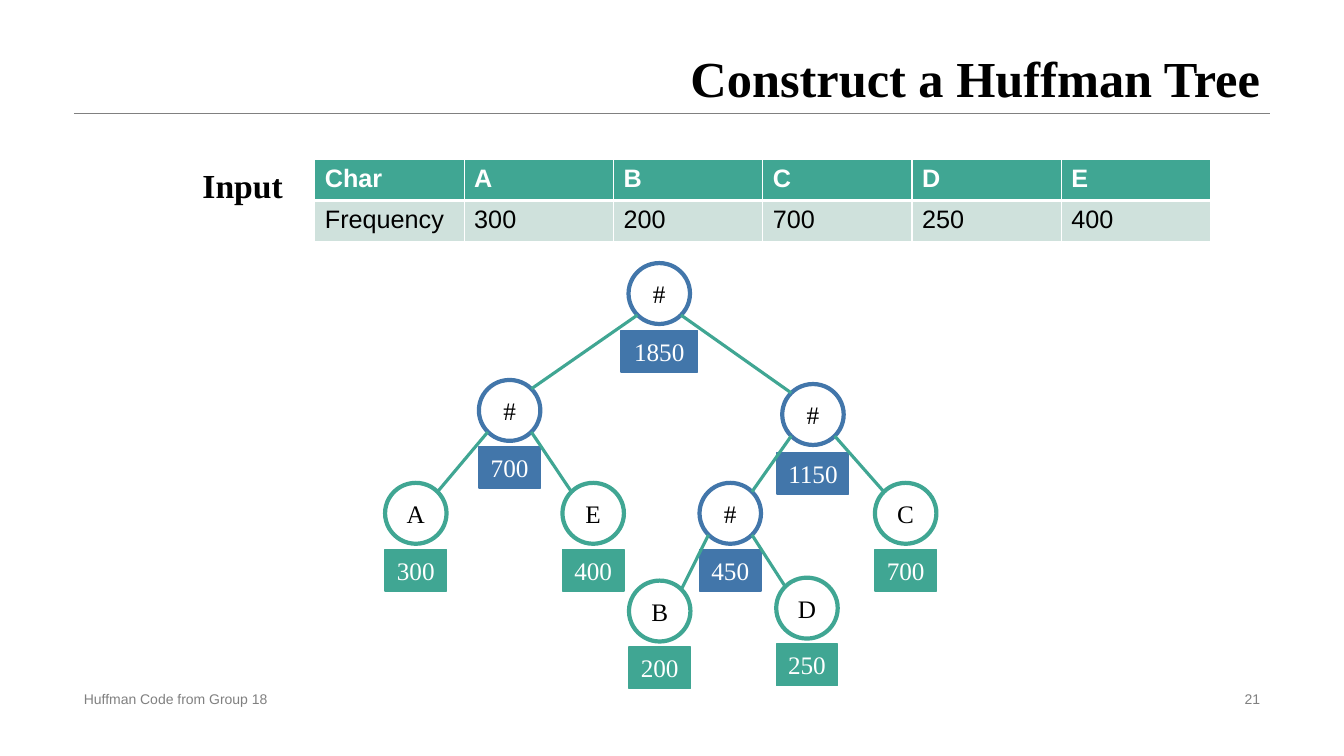
import math
from dataclasses import dataclass

from lxml import etree
from pptx import Presentation
from pptx import util as u
from pptx.dml.color import RGBColor
from pptx.enum import shapes, text
from pptx.oxml.ns import qn


@dataclass(frozen=True)
class Theme:
    serif: str = "Times New Roman"
    sans: str = "Arial"
    white: str = "FFFFFF"
    black: str = "000000"
    gray: str = "808080"
    green: str = "40A693"
    blue: str = "4276AA"
    pale: str = "CFE1DC"
    title: int = 36
    heading: int = 24
    body: int = 18
    footer: int = 10


@dataclass
class Node:
    char: str
    freq: int
    cx: float
    top: float
    children: tuple = ()
    label_w: float = 43.9
    label_drop: float = 47.5


CIRCLE_W, CIRCLE_H, LABEL_H = 43.9, 43.5, 29.7

B = Node("B", 200, 471.2, 414.7)
D = Node("D", 250, 576.4, 412.6)
BD = Node("#", 450, 521.6, 344.9, (B, D))
C = Node("C", 700, 646.9, 344.9)
BDC = Node("#", 1150, 580.7, 274.3, (BD, C), 51.1, 49)
A = Node("A", 300, 297, 344.9)
E = Node("E", 400, 423.7, 344.9)
AE = Node("#", 700, 364, 271.4, (A, E))
ROOT = Node("#", 1850, 470.9, 187.9, (AE, BDC), 54.7, 48.2)


def rgb(value):
    return RGBColor.from_string(value)


def set_all(obj, values):
    for name, value in values.items():
        setattr(obj, name, value)


class Deck:
    def __init__(self, prs, theme):
        self.t = theme
        self.s = prs.slides.add_slide(prs.slide_layouts[6])

    def fill_text(self, tf, words, font, size, color, bold=False, frame=None, para=None):
        set_all(tf, frame or {})
        p = tf.paragraphs[0]
        set_all(p, para or {})
        r = p.add_run()
        r.text = words
        set_all(r.font, {"name": font, "size": u.Pt(size), "bold": bold})
        r.font.color.rgb = rgb(color)

    def text(self, box, words, font, size, color, bold=False,
             anchor=text.MSO_ANCHOR.TOP, **para):
        sp = self.s.shapes.add_textbox(*map(u.Pt, box))
        frame = {"word_wrap": True, "vertical_anchor": anchor}
        self.fill_text(sp.text_frame, words, font, size, color, bold, frame, para)

    def line(self, start, end, color, width):
        cn = self.s.shapes.add_connector(
            shapes.MSO_CONNECTOR.STRAIGHT, *map(u.Pt, (*start, *end)))
        cn.line.color.rgb = rgb(color)
        cn.line.width = u.Pt(width)
        etree.SubElement(cn._element.spPr, qn("a:effectLst"))

    def shape(self, kind, box, words, fill, outline, width, color):
        sp = self.s.shapes.add_shape(kind, *map(u.Pt, box))
        sp.shadow.inherit = False
        sp.fill.solid()
        sp.fill.fore_color.rgb = rgb(fill)
        sp.line.color.rgb = rgb(outline)
        sp.line.width = u.Pt(width)
        self.fill_text(sp.text_frame, words, self.t.serif, self.t.body, color,
                       frame={"word_wrap": False,
                              "vertical_anchor": text.MSO_ANCHOR.MIDDLE},
                       para={"alignment": text.PP_ALIGN.CENTER})

    def borders(self, cell, bottom):
        tcPr = cell._tc.get_or_add_tcPr()
        for i, (side, width) in enumerate(zip("LRTB", (1, 1, 1, bottom))):
            ln = etree.Element(qn(f"a:ln{side}"), w=str(u.Pt(width)))
            fill = etree.SubElement(ln, qn("a:solidFill"))
            etree.SubElement(fill, qn("a:srgbClr"), val=self.t.white)
            tcPr.insert(i, ln)

    def table(self, box, rows):
        """Draw rows of text, the first one as a header."""
        tbl = self.s.shapes.add_table(len(rows), len(rows[0]), *map(u.Pt, box)).table
        header = (self.t.green, self.t.white, True, 3)
        body = (self.t.pale, self.t.black, False, 1)
        for i, row in enumerate(rows):
            fill, color, bold, bottom = body if i else header
            for j, words in enumerate(row):
                cell = tbl.cell(i, j)
                cell.fill.solid()
                cell.fill.fore_color.rgb = rgb(fill)
                self.borders(cell, bottom)
                self.fill_text(cell.text_frame, words, self.t.sans, self.t.body,
                               color, bold)

    def tree(self, node):
        """Draw the subtrees, then the node, then the edges from it."""
        for child in node.children:
            self.tree(child)
        color = self.t.blue if node.children else self.t.green
        self.shape(shapes.MSO_SHAPE.OVAL,
                   (node.cx - CIRCLE_W / 2, node.top, CIRCLE_W, CIRCLE_H),
                   node.char, self.t.white, color, 3, self.t.black)
        self.shape(shapes.MSO_SHAPE.RECTANGLE,
                   (node.cx - node.label_w / 2, node.top + node.label_drop,
                    node.label_w, LABEL_H),
                   str(node.freq), color, color, 1, self.t.white)
        dx, dy = (d / 2 * math.sqrt(0.5) for d in (CIRCLE_W, CIRCLE_H))
        for side, child in zip((-1, 1), node.children):
            self.line((node.cx + side * dx, node.top + CIRCLE_H / 2 + dy),
                      (child.cx - side * dx, child.top + CIRCLE_H / 2 - dy),
                      self.t.green, 2.25)


def main():
    prs = Presentation()
    set_all(prs, {"slide_width": u.Pt(960), "slide_height": u.Pt(540)})
    t = Theme()
    deck = Deck(prs, t)
    right, middle = text.PP_ALIGN.RIGHT, text.MSO_ANCHOR.MIDDLE

    deck.line((52.8, 81), (907.2, 81), t.gray, 0.25)
    deck.text((52.8, 0, 854.4, 81), "Construct a Huffman Tree", t.serif, t.title, t.black,
              True, text.MSO_ANCHOR.BOTTOM, alignment=right, line_spacing=0.9)
    deck.text((52.8, 491, 326, 16.6), "Huffman Code from Group 18",
              t.sans, t.footer, t.gray, anchor=middle)
    deck.text((678.2, 491, 229, 16.6), "21", t.sans, t.footer, t.gray,
              anchor=middle, alignment=right)
    deck.table((224.9, 114, 640, 58.4),
               [["Char", "A", "B", "C", "D", "E"],
                ["Frequency", "300", "200", "700", "250", "400"]])
    deck.text((137.5, 114, 87, 36), "Input", t.serif, t.heading, t.black, True)
    deck.tree(ROOT)
    prs.save("out.pptx")


if __name__ == "__main__":
    main()
